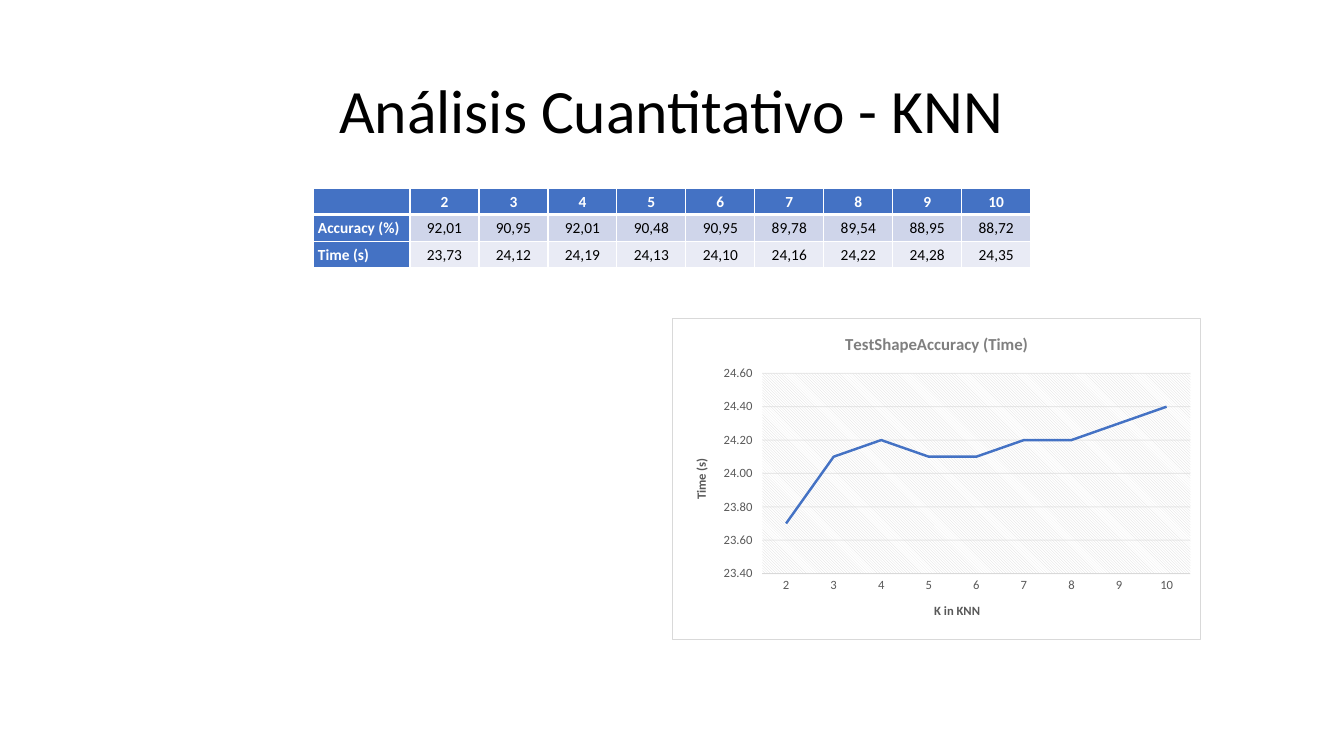
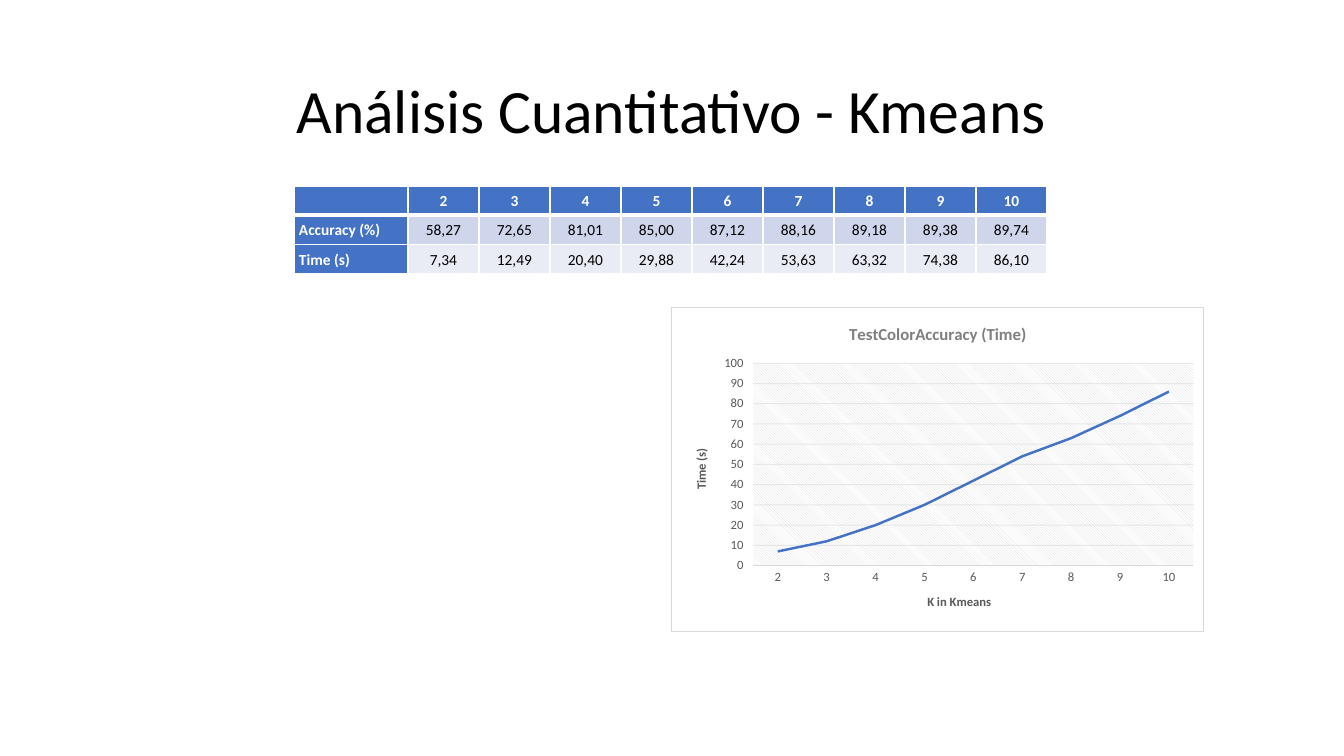
"""Build two slides that set KNN against Kmeans with a table and a time chart each."""
from dataclasses import dataclass
from typing import NamedTuple

from pptx import Presentation, util as u
from pptx.chart import data as chart_data
from pptx.dml.color import RGBColor
from pptx.enum import chart as ch, text as tx
from pptx.oxml import ns, parse_xml
from lxml import etree

EMU_PER_PX = 914400 / 100.8
FONT = "Calibri"
BLACK, WHITE, BLUE = "000000", "FFFFFF", "4472C4"
BANDS = ("CFD5EA", "E9EBF5")
RULE_GREY, LABEL_GREY, HEADING_GREY = "D9D9D9", "595959", "7F7F7F"
K_VALUES = [str(k) for k in range(2, 11)]


class Box(NamedTuple):
    left: int
    top: int
    width: int
    height: int


class Point(NamedTuple):
    left: int
    top: int


class Scale(NamedTuple):
    low: float
    high: float
    step: float
    number_format: str
    decimals: int


@dataclass
class Analysis:
    method: str
    accuracy: list[str]
    time: list[str]
    table_at: Point
    label_width: int
    value_width: int
    table_height: int
    chart_title: str
    chart_box: Box
    plot_box: Box
    title_at: Point
    k_title_at: Point
    time_title_at: Point
    scale: Scale


TITLE_BOX = Box(92, 41, 1159, 146)
ANALYSES = [
    Analysis(
        method="KNN",
        accuracy="92,01 90,95 92,01 90,48 90,95 89,78 89,54 88,95 88,72".split(),
        time="23,73 24,12 24,19 24,13 24,10 24,16 24,22 24,28 24,35".split(),
        table_at=Point(313, 188), label_width=97, value_width=69, table_height=80,
        chart_title="TestShapeAccuracy (Time)",
        chart_box=Box(672, 318, 529, 322), plot_box=Box(762, 373, 429, 201),
        title_at=Point(842, 329), k_title_at=Point(932, 601),
        time_title_at=Point(690, 456), scale=Scale(23.4, 24.6, 0.2, "0.00", 1),
    ),
    Analysis(
        method="Kmeans",
        accuracy="58,27 72,65 81,01 85,00 87,12 88,16 89,18 89,38 89,74".split(),
        time="7,34 12,49 20,40 29,88 42,24 53,63 63,32 74,38 86,10".split(),
        table_at=Point(294, 186), label_width=114, value_width=71, table_height=88,
        chart_title="TestColorAccuracy (Time)",
        chart_box=Box(671, 307, 533, 325), plot_box=Box(753, 363, 441, 203),
        title_at=Point(846, 319), k_title_at=Point(925, 592),
        time_title_at=Point(690, 446), scale=Scale(0, 100, 10, "0", 0),
    ),
]


def px(length: int) -> u.Emu:
    return u.Emu(round(length * EMU_PER_PX))


def rgb(code: str) -> RGBColor:
    return RGBColor.from_string(code)


def set_font(font, size: float, color: str, bold: bool = False) -> None:
    font.name, font.size, font.bold = FONT, u.Pt(size), bold
    font.color.rgb = rgb(color)


def set_line(line, color: str, width: float) -> None:
    line.color.rgb = rgb(color)
    line.width = u.Pt(width)


def add_title(slide, method: str) -> None:
    title = slide.shapes.title
    title.left, title.top, title.width, title.height = map(px, TITLE_BOX)
    frame = title.text_frame
    frame.text = f"Análisis Cuantitativo - {method}"
    frame.vertical_anchor = tx.MSO_ANCHOR.MIDDLE
    heading = frame.paragraphs[0]
    heading.alignment = tx.PP_ALIGN.CENTER
    heading.line_spacing = 0.9
    set_font(heading.font, 44, BLACK)


def set_borders(cell, top: float, bottom: float) -> None:
    properties = cell._tc.get_or_add_tcPr()
    sides = {"lnL": 1, "lnR": 1, "lnT": top, "lnB": bottom}
    for position, (side, width) in enumerate(sides.items()):
        properties.insert(position, parse_xml(
            f'<a:{side} {ns.nsdecls("a")} w="{u.Pt(width)}">{solid(WHITE)}</a:{side}>'))


def format_cell(cell, row: int, column: int, value: str) -> None:
    is_heading = row == 0 or column == 0
    set_borders(cell, top=3 if row == 1 else 1, bottom=3 if row == 0 else 1)
    cell.fill.solid()
    cell.fill.fore_color.rgb = rgb(BLUE if is_heading else BANDS[row - 1])
    cell.margin_left = cell.margin_right = px(5)
    cell.margin_top = cell.margin_bottom = 0
    cell.vertical_anchor = tx.MSO_ANCHOR.MIDDLE
    if value:
        cell.text = value
    paragraph = cell.text_frame.paragraphs[0]
    paragraph.alignment = tx.PP_ALIGN.CENTER if column else tx.PP_ALIGN.LEFT
    paragraph.line_spacing = 1.07
    set_font(paragraph.font, 11, WHITE if is_heading else BLACK, is_heading)


def add_results(slide, analysis: Analysis) -> None:
    rows = [["", *K_VALUES], ["Accuracy (%)", *analysis.accuracy],
            ["Time (s)", *analysis.time]]
    widths = [analysis.label_width] + [analysis.value_width] * len(K_VALUES)
    results = slide.shapes.add_table(
        len(rows), len(widths), *map(px, analysis.table_at),
        px(sum(widths)), px(analysis.table_height)).table
    results.first_row = results.horz_banding = False
    for column, width in zip(results.columns, widths):
        column.width = px(width)
    for row, values in enumerate(rows):
        for column, value in enumerate(values):
            format_cell(results.cell(row, column), row, column, value)


def place(part, frame: Box, spot: Point | Box) -> None:
    """Pin a chart part to a spot on the slide, as shares of the chart frame."""
    layout = part.find(ns.qn("c:layout"))
    if layout is None:
        layout = etree.Element(ns.qn("c:layout"))
        part.insert(0, layout)
    settings = {"xMode": "edge", "yMode": "edge",
                "x": (spot.left - frame.left) / frame.width,
                "y": (spot.top - frame.top) / frame.height}
    if isinstance(spot, Box):
        settings = {"layoutTarget": "inner", **settings,
                    "w": spot.width / frame.width, "h": spot.height / frame.height}
    manual = etree.SubElement(layout, ns.qn("c:manualLayout"))
    for name, value in settings.items():
        etree.SubElement(manual, ns.qn(f"c:{name}")).set("val", str(value))


def write_title(title, wording: str, size: float, color: str,
                frame: Box, spot: Point) -> None:
    title.text_frame.text = wording
    set_font(title.text_frame.paragraphs[0].font, size, color, True)
    place(title.element, frame, spot)


def solid(color: str) -> str:
    return f'<a:solidFill><a:srgbClr val="{color}"/></a:solidFill>'


def shape_properties(content: str):
    return parse_xml(f'<c:spPr {ns.nsdecls("c", "a")}>{content}</c:spPr>')


def paint_backgrounds(chart, frame: Box, plot_box: Box) -> None:
    space = chart.element
    space.find(ns.qn("c:chart")).addnext(shape_properties(
        f'{solid(WHITE)}<a:ln w="{u.Pt(0.75)}">{solid(RULE_GREY)}</a:ln>'))
    plot_area = space.xpath("c:chart/c:plotArea")[0]
    place(plot_area, frame, plot_box)
    plot_area.append(shape_properties(
        f'<a:pattFill prst="ltDnDiag"><a:fgClr><a:srgbClr val="{RULE_GREY}"/></a:fgClr>'
        f'<a:bgClr><a:srgbClr val="{WHITE}"/></a:bgClr></a:pattFill>'))


def format_axes(chart, analysis: Analysis) -> None:
    k_axis, time_axis = chart.category_axis, chart.value_axis
    titles = ((k_axis, f"K in {analysis.method}", analysis.k_title_at),
              (time_axis, "Time (s)", analysis.time_title_at))
    for axis, wording, spot in titles:
        set_font(axis.tick_labels.font, 9, LABEL_GREY)
        write_title(axis.axis_title, wording, 9, LABEL_GREY, analysis.chart_box, spot)
    k_axis.major_tick_mark = ch.XL_TICK_MARK.NONE
    set_line(k_axis.format.line, RULE_GREY, 0.75)

    scale = analysis.scale
    time_axis.minimum_scale, time_axis.maximum_scale = scale.low, scale.high
    time_axis.major_unit = scale.step
    time_axis.tick_labels.number_format = scale.number_format
    time_axis.tick_labels.number_format_is_linked = False
    time_axis.format.line.fill.background()
    time_axis.axis_title.element.xpath(".//a:bodyPr")[0].set("rot", "-5400000")
    set_line(time_axis.major_gridlines.format.line, RULE_GREY, 0.75)
    for color in chart.element.xpath(".//c:majorGridlines//a:srgbClr"):
        etree.SubElement(color, ns.qn("a:alpha")).set("val", "54000")


def add_time_chart(slide, analysis: Analysis) -> None:
    times = chart_data.CategoryChartData()
    times.categories = K_VALUES
    times.add_series("Time (s)", [
        round(float(seconds.replace(",", ".")), analysis.scale.decimals)
        for seconds in analysis.time])
    chart = slide.shapes.add_chart(
        ch.XL_CHART_TYPE.LINE, *map(px, analysis.chart_box), times).chart
    set_font(chart.font, 10, BLACK)
    chart.has_legend = False
    write_title(chart.chart_title, analysis.chart_title, 12, HEADING_GREY,
                analysis.chart_box, analysis.title_at)
    format_axes(chart, analysis)
    paint_backgrounds(chart, analysis.chart_box, analysis.plot_box)
    plot = chart.plots[0]
    plot.vary_by_categories = False
    time_line = plot.series[0]
    time_line.smooth = False
    time_line.marker.style = ch.XL_MARKER_STYLE.NONE
    set_line(time_line.format.line, BLUE, 1.75)


def main() -> None:
    deck = Presentation()
    deck.slide_width, deck.slide_height = px(1344), px(756)
    for analysis in ANALYSES:
        slide = deck.slides.add_slide(deck.slide_layouts.get_by_name("Title Only"))
        add_title(slide, analysis.method)
        add_results(slide, analysis)
        add_time_chart(slide, analysis)
    deck.save("out.pptx")


if __name__ == "__main__":
    main()
